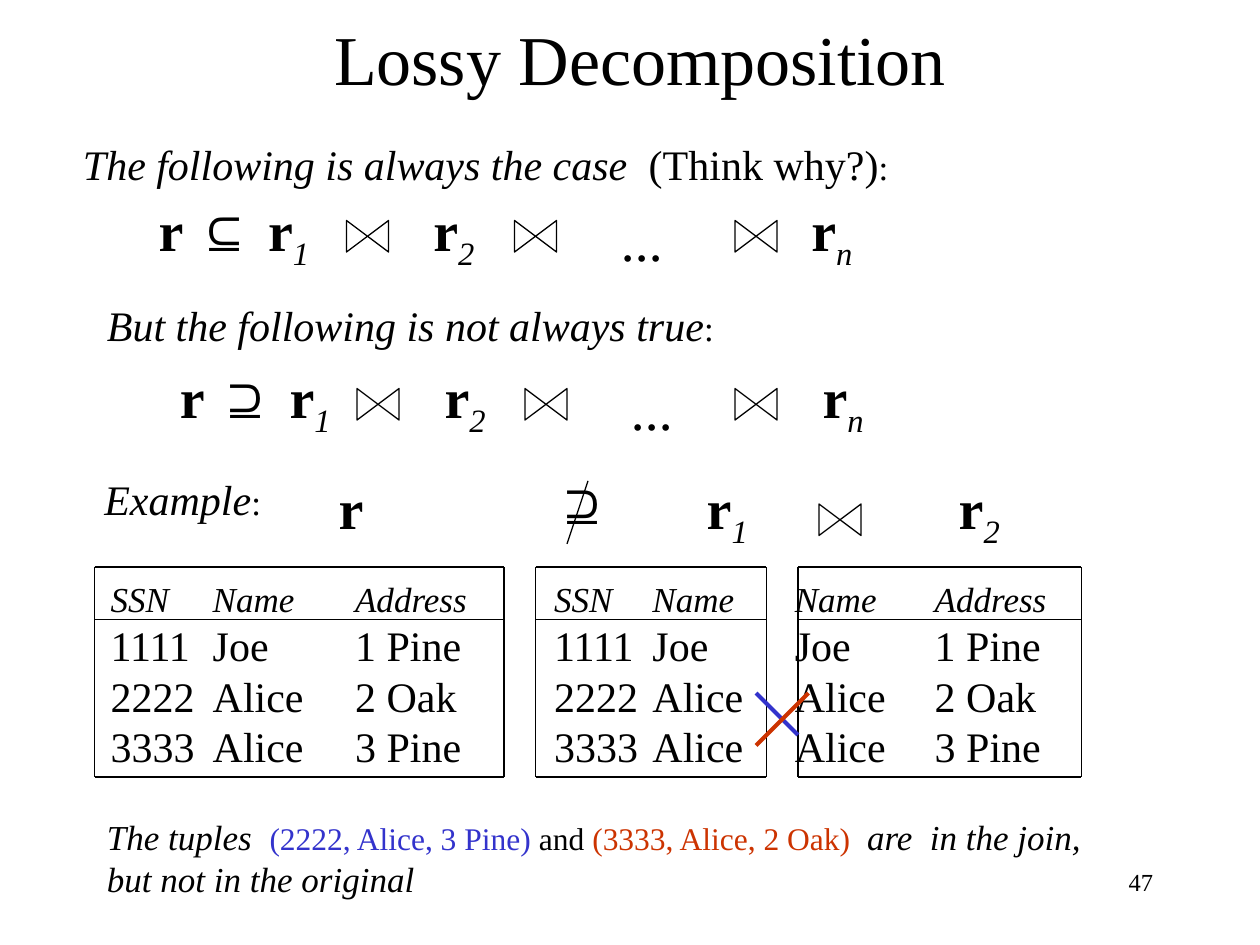
from lxml import etree
from pptx import Presentation
from pptx.dml.color import RGBColor
from pptx.enum.text import MSO_ANCHOR, MSO_AUTO_SIZE, PP_ALIGN
from pptx.oxml.ns import qn
from pptx.util import Inches, Pt

LEFT, CENTER, RIGHT = PP_ALIGN.LEFT, PP_ALIGN.CENTER, PP_ALIGN.RIGHT
TOP, MIDDLE = MSO_ANCHOR.TOP, MSO_ANCHOR.MIDDLE
FIXED = MSO_AUTO_SIZE.NONE
SERIF, SANS = "Times New Roman", "Arial"
BLACK, BLUE, RED = "000000", "3333CC", "CC3300"
UNIT = Inches(10) // 120

STYLES = {
    "title": {"size": 40},
    "number": {"size": 14},
    "lead": {"size": 24, "italic": True},
    "body": {"size": 24},
    "small": {"size": 20},
    "head": {"size": 20, "italic": True},
    "rel": {"size": 32, "bold": True},
    "sub": {"size": 32, "italic": True, "base": -25000},
    "dots": {"size": 32, "italic": True},
    "set": {"size": 32, "name": SANS},
    "and": {"size": 18},
    "blue": {"size": 18, "color": BLUE},
    "red": {"size": 18, "color": RED},
}


def relation(index):
    return [("r", "rel"), (index, "sub")]


def formula(symbol):
    return [("r ", "rel"), (symbol + " ", "set")] + relation("1")


DOTS = [("...", "dots")]
LABELS = [
    (0.56, 1.05, 6.59, 0.5, [("The following is always the case", "lead"),
                             ("  (Think why?)", "body"), (":", "small")]),
    (0.75, 2.33, 5.02, 0.5, [("But the following is not always true", "lead"), (":", "small")]),
    (0.73, 3.71, 1.44, 0.5, [("Example", "lead"), (":", "small")]),
    (1.16, 1.5, 1.41, 0.71, formula("⊆")),
    (3.34, 1.5, 0.52, 0.71, relation("2")),
    (4.84, 1.58, 0.53, 0.64, DOTS),
    (6.34, 1.5, 0.52, 0.71, relation("n")),
    (1.33, 2.83, 1.41, 0.71, formula("⊇")),
    (3.43, 2.83, 0.52, 0.71, relation("2")),
    (4.92, 2.92, 0.53, 0.64, DOTS),
    (6.43, 2.83, 0.52, 0.71, relation("n")),
    (2.59, 3.71, 0.4, 0.64, [("r", "rel")]),
    (4.3, 3.67, 0.55, 0.64, [("⊇", "set")]),
    (5.51, 3.71, 0.52, 0.71, relation("1")),
    (7.51, 3.71, 0.52, 0.71, relation("2")),
]
HEADERS = ["SSN", "Name", "Address", "SSN", "Name", "Name", "Address"]
TUPLES = [
    ["1111", "Joe", "1 Pine", "1111", "Joe", "Joe", "1 Pine"],
    ["2222", "Alice", "2 Oak", "2222", "Alice", "Alice", "2 Oak"],
    ["3333", "Alice", "3 Pine", "3333", "Alice", "Alice", "3 Pine"],
]
TAB_STOPS = [0.81, 1.94, 3.52, 4.3, 5.43, 6.54]
CONCLUSION = [
    [("The tuples  ", "head"), ("(2222, Alice, 3 Pine)", "blue"), (" and ", "and"),
     ("(3333, Alice, 2 Oak) ", "red"), (" ", "small"), ("are  in the join,", "head")],
    [("but not in the original", "head")],
]

FRAMES = [(9, 48), (51, 73), (76, 103)]
FRAME_ROWS = [54, 59, 74]
STRIKE = (56, 45.8, 54, 51.8)
CROSS = [((72, 66, 76, 70), BLUE), ((77, 66, 72, 71), RED)]
JOINS = [(21, [33, 49, 70]), (37, [34, 50, 70]), (48, [78])]
JOIN_W, JOIN_H = 4, 3


def rgb(color):
    return RGBColor.from_string(color)


def grid(*values):
    return [round(v * UNIT) for v in values]


def add_text(s, x, y, w, h, paragraphs, align=LEFT, anchor=TOP,
             right=0.1, spacing=None, tabs=()):
    tf = s.shapes.add_textbox(*map(Inches, (x, y, w, h))).text_frame
    tf.auto_size, tf.word_wrap = FIXED, True
    tf.vertical_anchor, tf.margin_right = anchor, Inches(right)
    for i, runs in enumerate(paragraphs):
        p = tf.add_paragraph() if i else tf.paragraphs[0]
        p.alignment = align
        if spacing:
            p.line_spacing = Pt(spacing)
        if tabs:
            stops = etree.SubElement(p._p.get_or_add_pPr(), qn("a:tabLst"))
            for tab in tabs:
                etree.SubElement(stops, qn("a:tab"), pos=str(Inches(tab)), algn="l")
        for text, style in runs:
            r = p.add_run()
            r.text = text
            fmt = {"name": SERIF, "bold": False, "italic": False, **STYLES[style]}
            r.font.color.rgb = rgb(fmt.pop("color", BLACK))
            r.font.size = Pt(fmt.pop("size"))
            base = fmt.pop("base", None)
            if base:
                r.font._element.set("baseline", str(base))
            for key, value in fmt.items():
                setattr(r.font, key, value)


def add_line(s, ends, color=BLACK, width=0.75):
    line = s.shapes.add_connector(1, *grid(*ends))
    line.line.color.rgb, line.line.width = rgb(color), Pt(width)
    etree.SubElement(line._element.spPr, qn("a:effectLst"))


def add_join(s, x, y):
    left, top, right, bottom = grid(x, y, x + JOIN_W, y + JOIN_H)
    outline = s.shapes.build_freeform(left, top, scale=1.0)
    outline.add_line_segments([(left, bottom), (right, top), (right, bottom)], close=True)
    join = outline.convert_to_shape()
    join.shadow.inherit = False
    join.fill.background()
    join.line.color.rgb, join.line.width = rgb(BLACK), Pt(0.75)


def main():
    prs = Presentation()
    prs.slide_width, prs.slide_height = Inches(10), Inches(7.5)
    s = prs.slides.add_slide(prs.slide_layouts[6])

    add_text(s, 0.83, 0.17, 8.5, 0.58, [[("Lossy Decomposition", "title")]], CENTER, MIDDLE)
    for x, y, w, h, runs in LABELS:
        add_text(s, x, y, w, h, [runs], right=0)

    rows = [[("\t".join(HEADERS), "head")]] + [[("\t".join(t), "body")] for t in TUPLES]
    add_text(s, 0.78, 4.47, 7.85, 1.7, rows, spacing=28.8, tabs=TAB_STOPS)
    for left, right in FRAMES:
        for y in FRAME_ROWS:
            add_line(s, (left, y, right, y))
        for x in (left, right):
            add_line(s, (x, FRAME_ROWS[0], x, FRAME_ROWS[-1]))

    add_line(s, STRIKE)
    for ends, color in CROSS:
        add_line(s, ends, color, 2.25)
    for y, columns in JOINS:
        for x in columns:
            add_join(s, x, y)

    add_text(s, 0.75, 6.42, 8.04, 0.77, CONCLUSION, spacing=24)
    add_text(s, 7.17, 6.83, 2.08, 0.5, [[("47", "number")]], RIGHT)
    prs.save("out.pptx")


if __name__ == "__main__":
    main()
